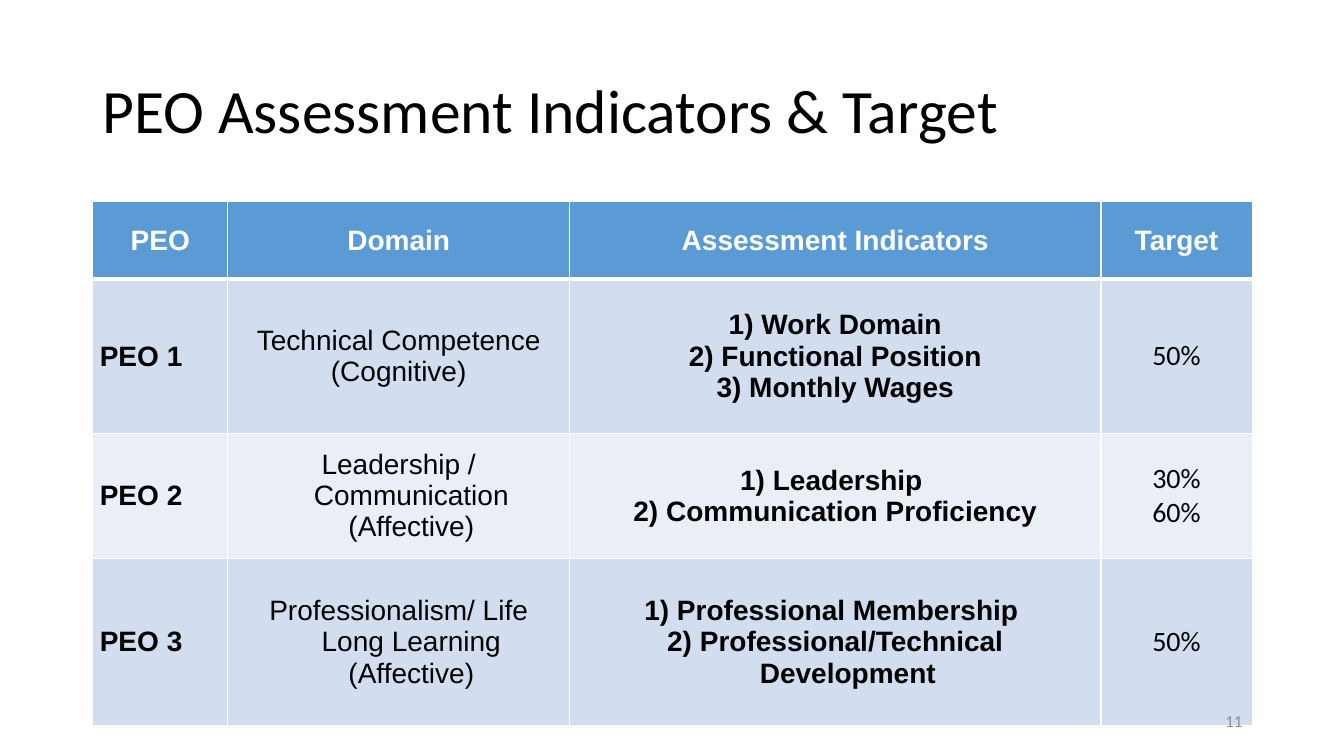
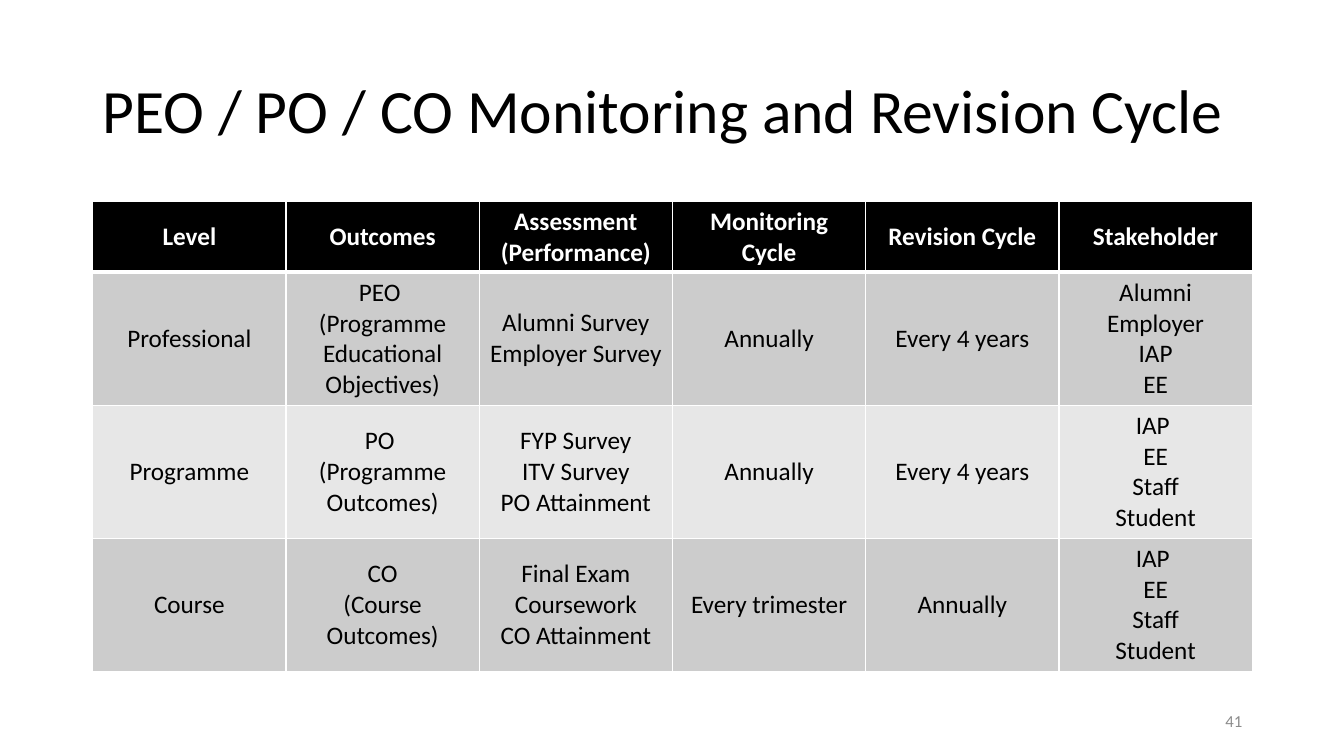
from lxml import etree
from pptx import Presentation
from pptx.dml.color import RGBColor
from pptx.enum import text as t
from pptx.oxml import ns
from pptx.util import Inches, Pt

BLACK = RGBColor(0x00, 0x00, 0x00)
WHITE = RGBColor(0xFF, 0xFF, 0xFF)
GREY = RGBColor(0x8C, 0x8C, 0x8C)
BLUE = RGBColor(0x5B, 0x9B, 0xD5)
BLUE_BANDS = RGBColor(0xD2, 0xDE, 0xEF), RGBColor(0xEA, 0xEF, 0xF7)
GREY_BANDS = RGBColor(0xCC, 0xCC, 0xCC), RGBColor(0xE7, 0xE7, 0xE7)

LEFT, WIDTH = 0.92, 11.5
LEAD, MID, END = t.PP_ALIGN.LEFT, t.PP_ALIGN.CENTER, t.PP_ALIGN.RIGHT

PEO_ROWS = [
    ["PEO", "Domain", "Assessment Indicators", "Target"],
    ["PEO 1", "Technical Competence\n(Cognitive)",
     "1) Work Domain\n2) Functional Position\n3) Monthly Wages", "50%"],
    ["PEO 2", "Leadership / Communication (Affective)",
     "1) Leadership \n2) Communication Proficiency", "30%\n60%"],
    ["PEO 3", "Professionalism/ Life Long Learning (Affective)",
     "1) Professional Membership \n2) Professional/Technical Development", "50%"],
]
CYCLE_ROWS = [
    ["Level", "Outcomes", "Assessment (Performance)", "Monitoring Cycle",
     "Revision Cycle", "Stakeholder"],
    ["Professional", "PEO \n(Programme Educational Objectives)",
     "Alumni Survey\nEmployer Survey", "Annually", "Every 4 years",
     "Alumni\nEmployer\nIAP\nEE"],
    ["Programme", "PO \n(Programme Outcomes)",
     "FYP Survey\nITV Survey\nPO Attainment", "Annually", "Every 4 years",
     "IAP \nEE\nStaff\nStudent"],
    ["Course", "CO\n(Course Outcomes)",
     "Final Exam\nCoursework\nCO Attainment", "Every trimester", "Annually",
     "IAP \nEE\nStaff\nStudent"],
]


def style(para, size, color, align=LEAD, face="Calibri", bold=False):
    para.alignment = align
    font = para.font
    font.name, font.size, font.bold = face, Pt(size), bold
    font.color.rgb = color


def add_text(slide, words, box, size, color, align=LEAD):
    frame = slide.shapes.add_textbox(*map(Inches, box)).text_frame
    frame.word_wrap = True
    frame.vertical_anchor = t.MSO_ANCHOR.MIDDLE
    frame.text = words
    para = frame.paragraphs[0]
    style(para, size, color, align)
    return para


def add_page(deck, title, number):
    """Add a slide with its title and page number."""
    slide = deck.slides.add_slide(deck.slide_layouts[6])
    head = add_text(slide, title, (LEFT, 0.4, WIDTH, 1.45), 44, BLACK)
    head.line_spacing = 0.9
    return slide, number


def add_number(slide, number):
    add_text(slide, str(number), (9.42, 6.95, 3, 0.4), 12, GREY, END)


def set_edges(cell, top, bottom):
    """Draw white cell borders; top and bottom are widths in points."""
    props = cell._tc.get_or_add_tcPr()
    widths = {"lnL": 1, "lnR": 1, "lnT": top, "lnB": bottom}
    for spot, (tag, width) in enumerate(widths.items()):
        line = etree.Element(ns.qn("a:" + tag), w=str(Pt(width)))
        fill = etree.SubElement(line, ns.qn("a:solidFill"))
        etree.SubElement(fill, ns.qn("a:srgbClr"), val=str(WHITE))
        props.insert(spot, line)


def hang(para):
    """Give a paragraph a quarter-inch hanging indent."""
    props = para._p.get_or_add_pPr()
    props.set("marL", str(Inches(0.25)))
    props.set("indent", str(-Inches(0.25)))


def add_grid(slide, rows, widths, heights, head, bands):
    frame = slide.shapes.add_table(
        len(rows), len(widths), Inches(LEFT), Inches(2),
        Inches(WIDTH), Inches(sum(heights)))
    table = frame.table
    table.first_row = table.horz_banding = False
    for col, width in zip(table.columns, widths):
        col.width = Inches(width)
    for r, (row, height) in enumerate(zip(rows, heights)):
        table.rows[r].height = Inches(height)
        for c, words in enumerate(row):
            cell = table.cell(r, c)
            cell.text = words
            cell.vertical_anchor = t.MSO_ANCHOR.MIDDLE
            cell.fill.solid()
            cell.fill.fore_color.rgb = bands[(r - 1) % 2] if r else head
            set_edges(cell, 3 if r == 1 else 1, 1 if r else 3)
    return table


def paras(table):
    """Yield row, column and paragraph for all text in a table."""
    for r, row in enumerate(table.rows):
        for c, cell in enumerate(row.cells):
            for para in cell.text_frame.paragraphs:
                yield r, c, para


def add_targets(slide):
    table = add_grid(slide, PEO_ROWS, (1.34, 3.39, 5.27, 1.5),
                     (0.77, 1.53, 1.24, 1.66), BLUE, BLUE_BANDS)
    for cell in table.iter_cells():
        cell.margin_left = cell.margin_right = Inches(0.07)
        cell.margin_top = cell.margin_bottom = 0
    for r, c, para in paras(table):
        style(para, 20, BLACK if r else WHITE,
              LEAD if r and c == 0 else MID,
              "Calibri" if r and c == 3 else "Arial",
              r == 0 or c in (0, 2))
        if r or c < 3:
            hang(para)


def add_cycle(slide):
    cols = len(CYCLE_ROWS[0])
    table = add_grid(slide, CYCLE_ROWS, [WIDTH / cols] * cols,
                     (0.7, 1.32, 1.32, 1.32), BLACK, GREY_BANDS)
    for r, _, para in paras(table):
        style(para, 18, BLACK if r else WHITE, MID, bold=r == 0)


def main():
    deck = Presentation()
    deck.slide_width, deck.slide_height = Inches(13.33), Inches(7.5)
    pages = [
        ("PEO Assessment Indicators & Target", 11, add_targets),
        ("PEO / PO / CO Monitoring and Revision Cycle", 41, add_cycle),
    ]
    for title, number, fill in pages:
        slide, number = add_page(deck, title, number)
        fill(slide)
        add_number(slide, number)
    deck.save("out.pptx")


if __name__ == "__main__":
    main()
